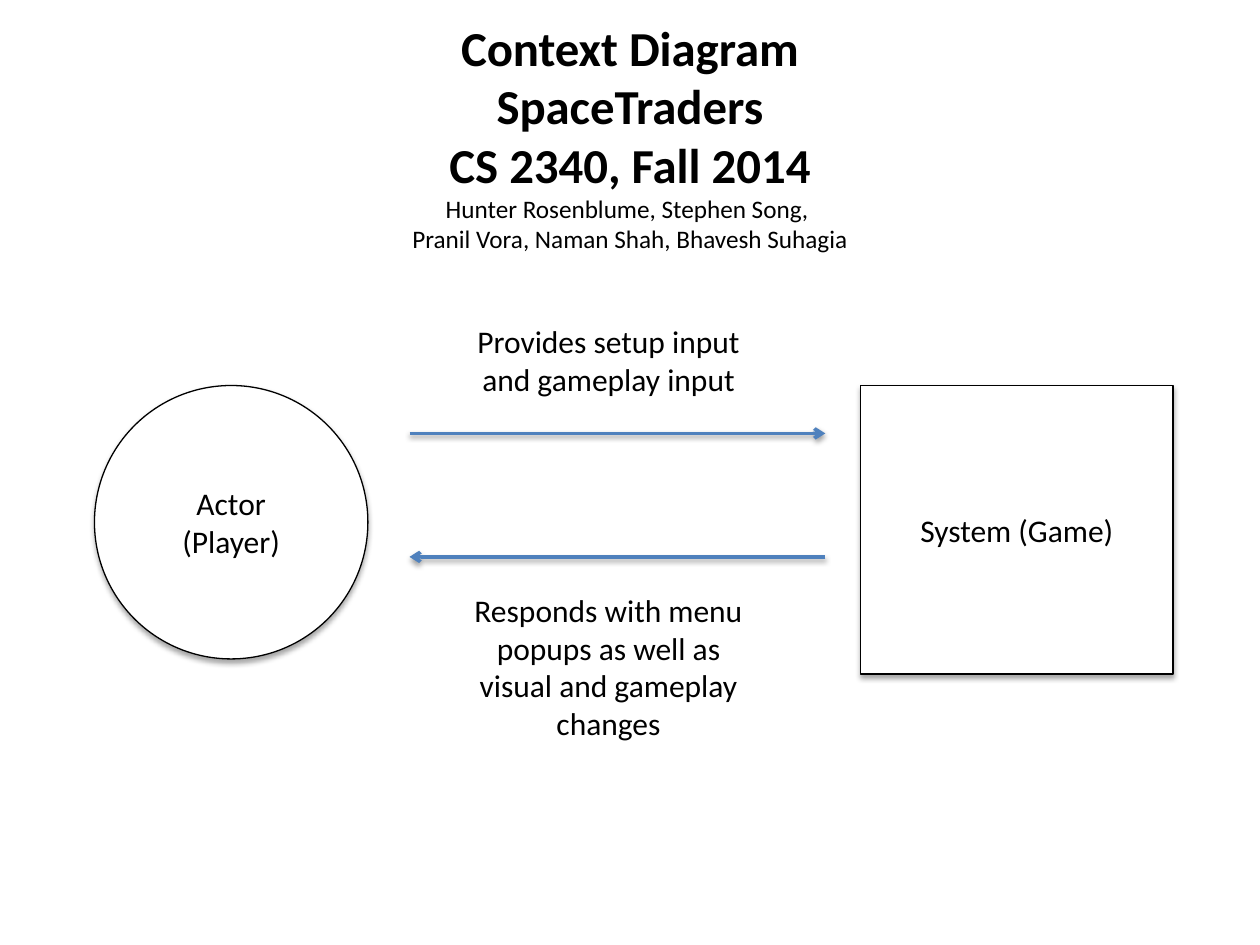
"""Build a context diagram slide: an actor, a system and two message arrows."""
from copy import deepcopy
from dataclasses import dataclass

from lxml.etree import SubElement
from pptx import Presentation
from pptx.dml.color import RGBColor
from pptx.enum.shapes import MSO_CONNECTOR, MSO_SHAPE
from pptx.enum.text import MSO_ANCHOR, PP_ALIGN
from pptx.oxml.ns import qn
from pptx.util import Inches, Pt

# The slide is a grid of 100 columns by 75 rows of square cells.
CELL = Inches(0.1)
COLUMNS, ROWS = 100, 75


@dataclass(frozen=True)
class Theme:
    """Colours, type sizes and line widths, in points."""
    font: str = "Calibri"
    ink: str = "000000"
    paper: str = "FFFFFF"
    accent: str = "4F81BD"
    title: float = 27.9
    names: float = 14.4
    body: float = 18
    outline: float = 0.75
    arrow: float = 2


THEME = Theme()


def cells(*counts):
    """Turn grid counts into slide lengths."""
    return [round(count * CELL) for count in counts]


def style_span(span, size, bold=False):
    """Give a run its font."""
    formats = {"name": THEME.font, "size": Pt(size), "bold": bold}
    for name, value in formats.items():
        setattr(span.font, name, value)
    span.font.color.rgb = RGBColor.from_string(THEME.ink)


def write(box, lines, anchor):
    """Write (text, size, bold) lines as one centred paragraph."""
    frame = box.text_frame
    formats = {"word_wrap": True, "vertical_anchor": anchor}
    for name, value in formats.items():
        setattr(frame, name, value)
    para = frame.paragraphs[0]
    para.alignment = PP_ALIGN.CENTER
    span = None
    for text, size, bold in lines:
        if span is not None:
            para.add_line_break()
            para._p[-1].append(deepcopy(span._r.rPr))
        span = para.add_run()
        span.text = text
        style_span(span, size, bold)


def add_shadow(item, opacity, distance):
    """Drop a soft shadow straight down from a shape or connector."""
    properties = item._element.spPr
    effects = properties.find(qn("a:effectLst"))
    if effects is None:
        effects = SubElement(properties, qn("a:effectLst"))
    shadow = SubElement(effects, qn("a:outerShdw"), {
        "blurRad": str(Pt(3.1)), "dist": str(Pt(distance)),
        "dir": "5400000", "rotWithShape": "0"})
    colour = SubElement(shadow, qn("a:srgbClr"), val=THEME.ink)
    SubElement(colour, qn("a:alpha"), val=str(opacity * 1000))


def add_text(page, place, lines, anchor=MSO_ANCHOR.TOP):
    """Add a text box."""
    write(page.shapes.add_textbox(*cells(*place)), lines, anchor)


def add_node(page, kind, place, text):
    """Add an outlined shape with a shadow and a centred name."""
    node = page.shapes.add_shape(kind, *cells(*place))
    node.shadow.inherit = False
    node.fill.solid()
    node.fill.fore_color.rgb = RGBColor.from_string(THEME.paper)
    node.line.color.rgb = RGBColor.from_string(THEME.ink)
    node.line.width = Pt(THEME.outline)
    add_shadow(node, opacity=35, distance=1.8)
    write(node, [(text, THEME.body, False)], MSO_ANCHOR.MIDDLE)


def add_arrow(page, start, end, row):
    """Add a level arrow from one column to another."""
    arrow = page.shapes.add_connector(
        MSO_CONNECTOR.STRAIGHT, *cells(start, row, end, row))
    arrow.line.color.rgb = RGBColor.from_string(THEME.accent)
    arrow.line.width = Pt(THEME.arrow)
    SubElement(arrow.line._get_or_add_ln(), qn("a:tailEnd"), type="arrow")
    add_shadow(arrow, opacity=38, distance=1.6)


def main():
    """Build and save the slide."""
    deck = Presentation()
    deck.slide_width, deck.slide_height = cells(COLUMNS, ROWS)
    page = deck.slides.add_slide(deck.slide_layouts[6])

    headings = ["Context Diagram", "SpaceTraders", "CS 2340, Fall 2014"]
    authors = ["Hunter Rosenblume, Stephen Song, ",
               "Pranil Vora, Naman Shah, Bhavesh Suhagia"]
    add_text(page, (7.5, 2.7, 85, 16.1),
             [(line, THEME.title, True) for line in headings]
             + [(line, THEME.names, False) for line in authors],
             MSO_ANCHOR.MIDDLE)

    node_row = 30.6
    add_node(page, MSO_SHAPE.RECTANGLE, (68.3, node_row, 24.8, 22.9),
             "System (Game)")
    add_node(page, MSO_SHAPE.OVAL, (7.5, node_row, 21.7, 21.7),
             "Actor (Player)")

    actor_side, system_side = 32.5, 65.5
    messages = [
        (actor_side, system_side, 34.4, 25.1, 7.1,
         "Provides setup input and gameplay input"),
        (system_side, actor_side, 44.2, 46.4, 13.1,
         "Responds with menu popups as well as visual and gameplay changes"),
    ]
    for start, end, arrow_row, label_row, label_rows, label in messages:
        add_arrow(page, start, end, arrow_row)
        add_text(page, (35.6, label_row, 25.4, label_rows),
                 [(label, THEME.body, False)])

    deck.save("out.pptx")


main()
